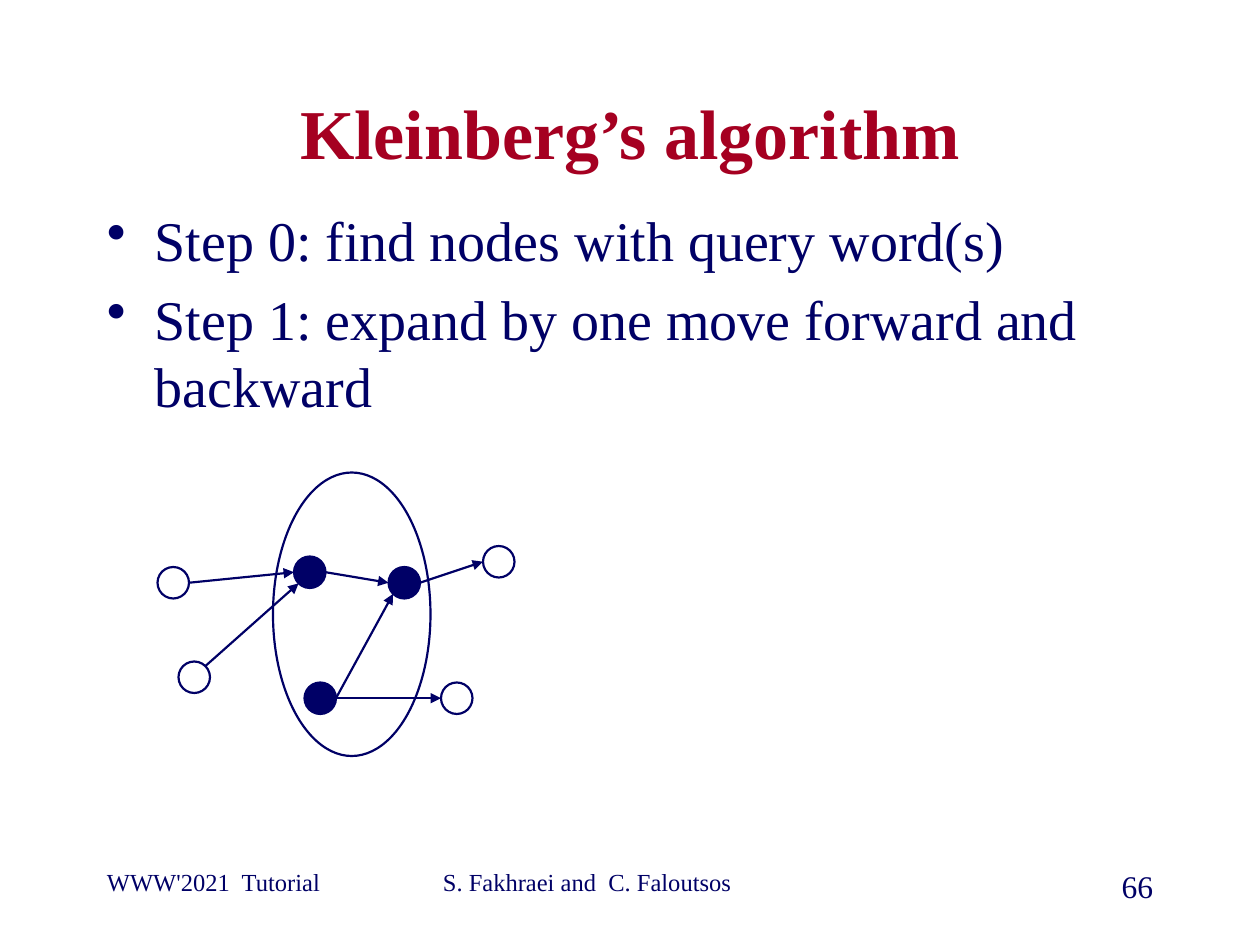
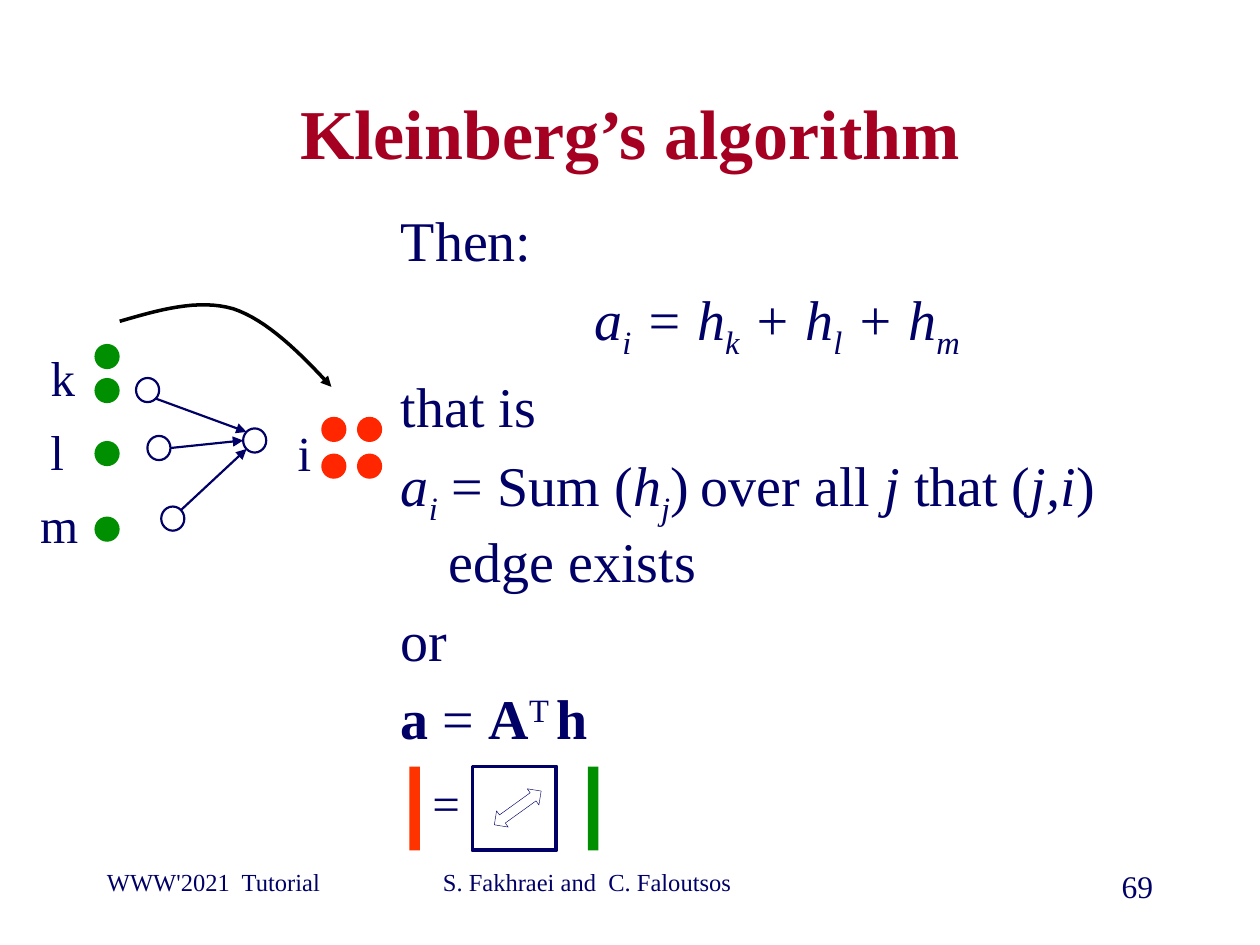
from itertools import product
from math import cos, radians, sin

from lxml.etree import SubElement as Sub
from pptx import Presentation
from pptx.dml.color import RGBColor as Rgb
from pptx.enum.shapes import MSO_CONNECTOR as Link, MSO_SHAPE as Kind
from pptx.enum.text import MSO_ANCHOR as Anchor, PP_ALIGN as Align
from pptx.oxml.ns import qn
from pptx.util import Inches, Pt

INK = {"navy": "000066", "title": "A50021", "red": "FF2600",
       "bar": "FF3300", "green": "008F00", "black": "000000"}
FONT = "Times New Roman"
COLS, ROWS = 120, 90
UNIT = Inches(10) / COLS
SITES = {"e": 0, "se": 45, "s": 90, "sw": 135, "w": 180, "nw": 225, "n": 270, "ne": 315}
INDENT = Inches(0.38)
BASE = {"-": "-25000", "+": "30000"}


def grid(*cells):
    return [round(cell * UNIT) for cell in cells]


def shift(box, x, y, *size):
    return (box[0] + x, box[1] + y, *size)


def tint(fill, name):
    fill.solid()
    fill.fore_color.rgb = Rgb.from_string(INK[name])


def tip(line):
    Sub(line._get_or_add_ln(), qn("a:tailEnd"), type="triangle")


def draw(slide, kind, place, fill=None, line=None, width=1.25):
    shape = slide.shapes.add_shape(kind, *grid(*place))
    paint(shape, fill, line, width)
    return shape


def paint(shape, fill, line, width):
    shape.shadow.inherit = False
    if fill:
        tint(shape.fill, fill)
    else:
        shape.fill.background()
    if line:
        tint(shape.line.fill, line)
        shape.line.width = Pt(width)
    else:
        shape.line.fill.background()


def style(para, size, color="navy", bold=None, align=Align.LEFT):
    para.alignment = align
    for font in [para.font] + [run.font for run in para.runs]:
        font.name, font.size = FONT, Pt(size)
        font.color.rgb = Rgb.from_string(INK[color])
        if bold:
            font.bold = True


def write(slide, place, text, size, anchor=Anchor.TOP, wrap=True, **look):
    frame = slide.shapes.add_textbox(*grid(*place)).text_frame
    frame.word_wrap, frame.vertical_anchor = wrap, anchor
    frame.text = text
    style(frame.paragraphs[0], size, **look)


def body(slide, place, paras, bullet=False):
    frame = slide.shapes.add_textbox(*grid(*place)).text_frame
    frame.word_wrap = True
    for num, (align, runs) in enumerate(paras):
        para = frame.add_paragraph() if num else frame.paragraphs[0]
        for text, marks in runs:
            run = para.add_run()
            run.text = text
            run.font.italic = "i" in marks
            run.font.bold = "b" in marks
            for mark in set(marks) & set(BASE):
                run._r.get_or_add_rPr().set("baseline", BASE[mark])
        para.space_before = Pt(6.4)
        props = para._p.get_or_add_pPr()
        props.set("marL", str(INDENT))
        props.set("indent", str(-INDENT))
        if bullet:
            Sub(props, qn("a:buChar"), char="•")
        else:
            Sub(props, qn("a:buNone"))
        if any("\t" in text for text, _ in runs):
            tabs = Sub(props, qn("a:tabLst"))
            Sub(tabs, qn("a:tab"), pos=str(Inches(2.84)), algn="l")
        style(para, 32, align=align)


def site(place, name):
    x, y, w, h = place
    turn = radians(SITES[name])
    return x + w / 2 * (1 + cos(turn)), y + h / 2 * (1 + sin(turn))


def graph(slide, box, size, nodes, edges):
    spots = {}
    for name, (x, y, fill) in nodes.items():
        spots[name] = shift(box, x, y, *size)
        draw(slide, Kind.OVAL, spots[name], fill, "navy")
    for start, out, end, into in edges:
        ends = site(spots[start], out) + site(spots[end], into)
        edge = slide.shapes.add_connector(Link.STRAIGHT, *grid(*ends))
        tint(edge.line.fill, "navy")
        edge.line.width = Pt(1.25)
        tip(edge.line)
        Sub(edge._element.spPr, qn("a:effectLst"))


def bend(start, *ctrl, steps=16):
    pts = (start, *ctrl)
    for step in range(1, steps + 1):
        t = step / steps
        parts = ((1 - t) ** 3, 3 * t * (1 - t) ** 2, 3 * t * t * (1 - t), t ** 3)
        yield tuple(sum(p * pt[axis] for p, pt in zip(parts, pts)) for axis in (0, 1))


def arc(slide, box, knots):
    pts = [knots[0]]
    for at in range(0, len(knots) - 1, 3):
        pts += bend(*knots[at:at + 4])
    pts = [grid(*shift(box, *pt)) for pt in pts]
    build = slide.shapes.build_freeform(*pts[0])
    build.add_line_segments(pts[1:], close=False)
    curve = build.convert_to_shape()
    paint(curve, None, "black", 2)
    tip(curve.line)


def frame(deck, num):
    slide = deck.slides.add_slide(deck.slide_layouts[6])
    tint(slide.background.fill, "white") if "white" in INK else None
    write(slide, (9, 82, 25, 6), "WWW'2021  Tutorial", 14)
    write(slide, (41, 82, 38, 6), "S. Fakhraei and  C. Faloutsos", 14)
    write(slide, (86, 82, 25, 6), str(num), 18, align=Align.RIGHT)
    write(slide, (9, 8, 102, 9), "Kleinberg’s algorithm", 40, Anchor.MIDDLE,
          color="title", bold=True, align=Align.CENTER)
    return slide


def roots(slide, box):
    nodes = {"low": (2, 18, None), "hub": (22, 9, "navy"), "top": (13, 8, "navy"),
             "end": (27, 20, None), "far": (31, 7, None), "base": (14, 20, "navy"),
             "left": (0, 9, None)}
    edges = [("top", "e", "hub", "w"), ("base", "e", "hub", "sw"),
             ("base", "e", "end", "w"), ("hub", "e", "far", "w"),
             ("left", "e", "top", "w"), ("low", "ne", "top", "sw")]
    graph(slide, box, (3, 3), nodes, edges)
    draw(slide, Kind.OVAL, shift(box, 11, 0, 15, 27), line="navy")


def scores(slide, box):
    nodes = {"m": (12.36, 19.24, None), "i": (20.16, 11.8, None),
             "k": (9.96, 7, None), "l": (11.04, 12.52, None)}
    edges = [("l", "e", "i", "w"), ("m", "ne", "i", "sw"), ("k", "se", "i", "nw")]
    graph(slide, box, (2.2, 2.3), nodes, edges)
    for text, x, y in (("k", 0, 3.5), ("l", -0.54, 10.5), ("m", -0.36, 17.5), ("i", 23, 10.6)):
        write(slide, shift(box, x, y, 6, 6.8), text, 28, Anchor.MIDDLE, False,
              align=Align.CENTER)
    dots = [("green", 6, y) for y in (7, 3.76, 13, 20.2)]
    dots += [("red", x, y) for y, x in product((10.7, 14.2), (27.6, 31))]
    for fill, x, y in dots:
        draw(slide, Kind.OVAL, shift(box, x, y, 2.4, 2.4), fill)
    arc(slide, box, [(8.4, 1.6), (12.12, 0.52), (15.84, -0.56), (19.2, 0.4),
                     (22.44, 1.48), (25.56, 4.6), (28.56, 7.84)])


def matrix(slide, box):
    draw(slide, Kind.RECTANGLE, shift(box, 0, 0, 1, 8), "bar")
    draw(slide, Kind.RECTANGLE, shift(box, 6, 0, 8, 8), None, "navy", 2.25)
    draw(slide, Kind.RECTANGLE, shift(box, 17, 0, 1, 8), "green")
    write(slide, shift(box, 1, 0, 5, 6.8), "=", 28, wrap=False, align=Align.CENTER)
    arrow = draw(slide, Kind.LEFT_RIGHT_ARROW, shift(box, 7.56, 3, 5.5, 1.9),
                 None, "navy", 0.25)
    arrow.rotation = 324.2


def expand(deck):
    slide = frame(deck, 66)
    steps = ("Step 0: find nodes with query word(s)",
             "Step 1: expand by one move forward and backward")
    body(slide, (9, 19, 102, 61), [(Align.LEFT, [(step, "")]) for step in steps], True)
    roots(slide, (15, 45))


def solve(deck):
    slide = frame(deck, 69)
    total = [("a", "i"), ("i", "i-"), (" = h", "i"), ("k", "i-"), (" + h", "i"),
             ("l", "i-"), (" + h", "i"), ("m", "i-")]
    rule = [("a", "i"), ("i", "i-"), (" = Sum (", ""), ("h", "i"), ("j", "i-"),
            (")\tover all ", ""), ("j", "i"), (" that (", ""), ("j,i", "i"),
            (") edge exists", "")]
    form = [("a", "b"), (" = ", ""), ("A", "b"), ("T ", "+"), ("h", "b")]
    body(slide, (37, 19, 74, 61), [
        (Align.LEFT, [("Then:", "")]), (Align.CENTER, total),
        (Align.LEFT, [("that is", "")]), (Align.LEFT, rule),
        (Align.LEFT, [("or", "")]), (Align.LEFT, form)])
    scores(slide, (3, 29))
    matrix(slide, (39, 73))


def main():
    deck = Presentation()
    deck.slide_width, deck.slide_height = grid(COLS, ROWS)
    expand(deck)
    solve(deck)
    deck.save("out.pptx")


if __name__ == "__main__":
    main()
